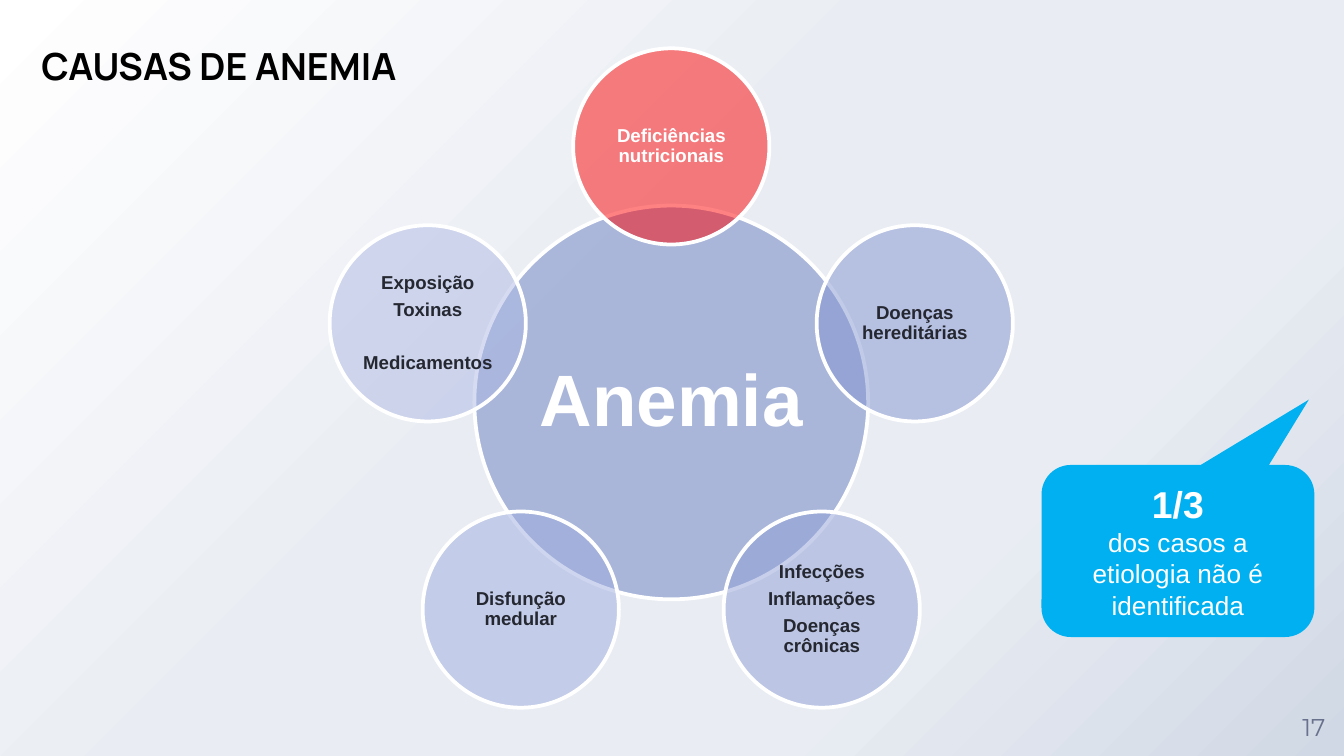
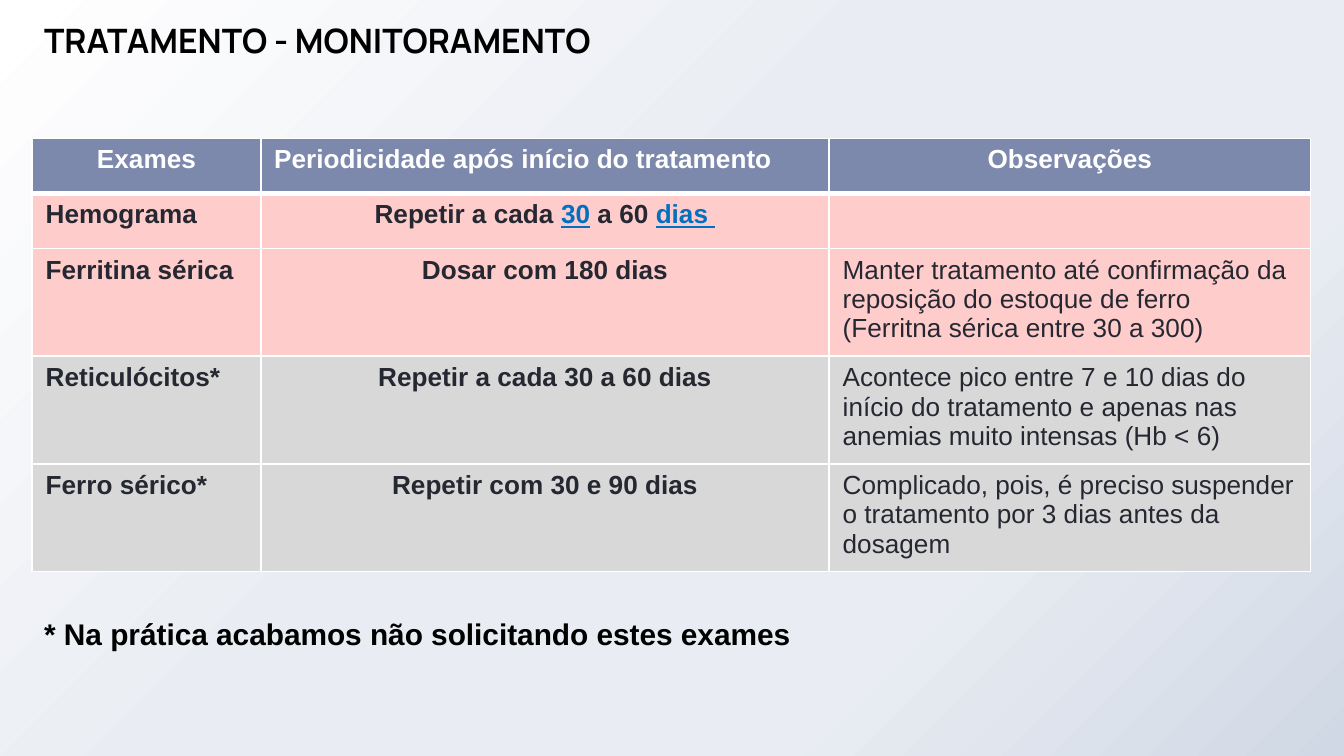
import math
from dataclasses import dataclass
from typing import Any

import pptx
import pptx.dml.color
import pptx.enum.shapes
import pptx.enum.text
import pptx.oxml
import pptx.oxml.ns
import pptx.util

ALIGN = pptx.enum.text.PP_ALIGN
ANCHOR = pptx.enum.text.MSO_ANCHOR
SHAPE = pptx.enum.shapes.MSO_SHAPE

SLIDE_WIDTH = pptx.util.Inches(10)
SLIDE_HEIGHT = pptx.util.Inches(5.625)
GRID_UNIT = SLIDE_WIDTH / 100  # square grid cells, 100 columns across the slide


@dataclass(frozen=True)
class Theme:
    body_font: str = "Arial"
    title_font: str = "Manrope"
    number_font: str = "Montserrat"
    white: str = "FFFFFF"
    black: str = "000000"
    ink: str = "252831"
    muted: str = "68728D"
    link: str = "0070C0"
    hub: str = "677EC1"
    callout: str = "00B0F0"
    header: str = "7D89AC"
    essential: str = "FFCCCC"
    optional: str = "D8D8D8"
    backdrop: tuple[tuple[int, str], ...] = (
        (0, "FFFFFF"), (44, "E9EDF3"), (72, "E9EDF3"), (100, "D0D8E5"))
    circle_opacity: int = 49
    hub_size: float = 39
    cause_size: float = 10
    fact_size: float = 20
    text_size: float = 14
    note_size: float = 16
    number_size: float = 13


THEME = Theme()


@dataclass(frozen=True)
class Area:
    """A rectangle in grid units."""
    left: float
    top: float
    width: float
    height: float

    def lengths(self) -> tuple[int, ...]:
        return tuple(grid(n) for n in (self.left, self.top, self.width, self.height))


@dataclass(frozen=True)
class Span:
    text: str
    size: float = THEME.text_size
    color: str = THEME.ink
    bold: bool = True
    underline: bool = False
    font: str = THEME.body_font


@dataclass(frozen=True)
class Para:
    spans: tuple[Span, ...]
    align: Any = ALIGN.LEFT
    line_spacing: float | None = None
    before: float = 0


@dataclass(frozen=True)
class Cause:
    """One outer circle; gaps are the points before each line."""
    lines: tuple[str, ...]
    fill: str
    color: str = THEME.ink
    gaps: tuple[float, ...] = (0, 3.5, 3.5)


@dataclass(frozen=True)
class Exam:
    name: str
    period: tuple[Span, ...]
    remark: str
    fill: str


CAUSES = (
    Cause(("Deficiências nutricionais",), "FF0000", THEME.white),
    Cause(("Doenças hereditárias",), "8193D0"),
    Cause(("Infecções", "Inflamações", "Doenças crônicas"), "8F9FD6"),
    Cause(("Disfunção medular",), "9DAADD"),
    Cause(("Exposição", "Toxinas", "Medicamentos"), "ACB7E3", gaps=(0, 3.5, 17.4)),
)

HEADINGS = (
    ("Exames", ALIGN.CENTER),
    ("Periodicidade após início do tratamento", ALIGN.LEFT),
    ("Observações", ALIGN.CENTER),
)

EXAMS = (
    Exam("Hemograma",
         (Span("Repetir a cada "), Span("30", color=THEME.link, underline=True),
          Span(" a 60 "), Span("dias ", color=THEME.link, underline=True)),
         "", THEME.essential),
    Exam("Ferritina sérica", (Span("Dosar com 180 dias"),),
         "Manter tratamento até confirmação da reposição do estoque de ferro "
         "(Ferritna sérica entre 30 a 300)", THEME.essential),
    Exam("Reticulócitos*", (Span("Repetir a cada 30 a 60 dias"),),
         "Acontece pico entre 7 e 10 dias do início do tratamento e apenas nas "
         "anemias muito intensas (Hb < 6)", THEME.optional),
    Exam("Ferro sérico*", (Span("Repetir com 30 e 90 dias"),),
         "Complicado, pois, é preciso suspender o tratamento por 3 dias antes da "
         "dosagem", THEME.optional),
)


def grid(units: float) -> int:
    return round(units * GRID_UNIT)


def rgb(color: str) -> Any:
    return pptx.dml.color.RGBColor.from_string(color)


def apply(target: Any, values: dict[str, Any]) -> None:
    for name, value in values.items():
        setattr(target, name, value)


def write(frame: Any, paras: list[Para]) -> None:
    for index, item in enumerate(paras):
        para = frame.paragraphs[0] if index == 0 else frame.add_paragraph()
        apply(para, {"alignment": item.align, "line_spacing": item.line_spacing,
                     "space_before": pptx.util.Pt(item.before)})
        for span in item.spans:
            run = para.add_run()
            run.text = span.text
            apply(run.font, {"name": span.font, "size": pptx.util.Pt(span.size),
                             "bold": span.bold, "underline": span.underline})
            run.font.color.rgb = rgb(span.color)


def fill_frame(frame: Any, paras: list[Para], anchor: Any, inset: tuple[float, float]) -> None:
    """Set wrapping, anchor and (side, top) insets, then write the text."""
    side, edge = map(grid, inset)
    apply(frame, {"word_wrap": True, "vertical_anchor": anchor,
                  "margin_left": side, "margin_right": side,
                  "margin_top": edge, "margin_bottom": edge})
    write(frame, paras)


def add_text(shapes: Any, area: Area, paras: list[Para], anchor: Any = ANCHOR.TOP,
             inset: tuple[float, float] = (1, 0.5)) -> Any:
    box = shapes.add_textbox(*area.lengths())
    fill_frame(box.text_frame, paras, anchor, inset)
    return box


def add_title(page: Any, area: Area, text: str, size: float) -> None:
    span = Span(text, size, THEME.black, font=THEME.title_font)
    add_text(page.shapes, area, [Para((span,))])


def add_page(deck: Any) -> Any:
    """Add a blank page with the shared gradient spreading from the top left."""
    page = deck.slides.add_slide(deck.slide_layouts[6])
    stops = "".join(f'<a:gs pos="{at * 1000}"><a:srgbClr val="{color}"/></a:gs>'
                    for at, color in THEME.backdrop)
    backdrop = pptx.oxml.parse_xml(
        f'<p:bg {pptx.oxml.ns.nsdecls("p", "a")}><p:bgPr><a:gradFill><a:gsLst>{stops}</a:gsLst>'
        '<a:path path="circle"><a:fillToRect r="100000" b="100000"/></a:path>'
        '</a:gradFill><a:effectLst/></p:bgPr></p:bg>')
    page.element.cSld.insert(0, backdrop)
    return page


def add_circle(shapes: Any, center: tuple[float, float], diameter: float, fill: str,
               paras: list[Para], inset: float) -> None:
    """Draw a translucent circle with text in its inscribed square."""
    def square(side: float) -> Area:
        return Area(center[0] - side / 2, center[1] - side / 2, side, side)

    circle = shapes.add_shape(SHAPE.OVAL, *square(diameter).lengths())
    circle.shadow.inherit = False
    circle.fill.solid()
    circle.fill.fore_color.rgb = rgb(fill)
    color = circle.fill._xPr.find(".//" + pptx.oxml.ns.qn("a:srgbClr"))
    color.append(pptx.oxml.parse_xml(
        f'<a:alpha {pptx.oxml.ns.nsdecls("a")} val="{THEME.circle_opacity * 1000}"/>'))
    circle.line.color.rgb = rgb(THEME.white)
    circle.line.width = pptx.util.Pt(2)
    add_text(shapes, square(diameter / math.sqrt(2)), paras, ANCHOR.MIDDLE, (inset, inset))


def add_cause_wheel(page: Any) -> None:
    center_x, center_y, orbit = 49.95, 29.95, 19.05
    shapes = page.shapes.add_group_shape().shapes
    hub = Span("Anemia", THEME.hub_size, THEME.white)
    add_circle(shapes, (center_x, center_y), 29.3, THEME.hub,
               [Para((hub,), ALIGN.CENTER, 0.9)], 0.5)
    for index, cause in enumerate(CAUSES):
        angle = math.tau * index / len(CAUSES)
        center = (center_x + orbit * math.sin(angle), center_y - orbit * math.cos(angle))
        paras = [Para((Span(line, THEME.cause_size, cause.color),), ALIGN.CENTER, 0.9, gap)
                 for line, gap in zip(cause.lines, cause.gaps)]
        add_circle(shapes, center, 14.6, cause.fill, paras, 0.1)


def add_callout(page: Any) -> None:
    callout = page.shapes.add_shape(SHAPE.ROUNDED_RECTANGULAR_CALLOUT,
                                    *Area(77.5, 34.6, 20.3, 12.8).lengths())
    for index, value in enumerate((0.48, -0.88, 0.17)):
        callout.adjustments[index] = value
    callout.shadow.inherit = False
    callout.fill.solid()
    callout.fill.fore_color.rgb = rgb(THEME.callout)
    callout.line.fill.background()
    fact = Span("1/3", THEME.fact_size, THEME.white)
    detail = Span("dos casos a etiologia não é identificada", color=THEME.white, bold=False)
    fill_frame(callout.text_frame, [Para((span,), ALIGN.CENTER) for span in (fact, detail)],
               ANCHOR.MIDDLE, (1, 0.5))


def style_cell(cell: Any, fill: str, para: Para, bottom: int = 1, top: int = 1) -> None:
    """Write a cell with white borders, widths in points."""
    properties = cell._tc.get_or_add_tcPr()
    for side, width in {"L": 1, "R": 1, "T": top, "B": bottom}.items():
        properties.append(pptx.oxml.parse_xml(
            f'<a:ln{side} {pptx.oxml.ns.nsdecls("a")} w="{pptx.util.Pt(width)}"><a:solidFill>'
            f'<a:srgbClr val="{THEME.white}"/></a:solidFill></a:ln{side}>'))
    cell.fill.solid()
    cell.fill.fore_color.rgb = rgb(fill)
    fill_frame(cell.text_frame, [para], ANCHOR.TOP, (1, 0.5))


def add_exam_table(page: Any) -> None:
    widths, row_height = (17, 42.3, 35.8), 4.1
    row_count = len(EXAMS) + 1
    area = Area(2.4, 10.3, sum(widths), row_height * row_count)
    table = page.shapes.add_table(row_count, len(widths), *area.lengths()).table
    table.horz_banding = False
    for column, width in zip(table.columns, widths):
        column.width = grid(width)
    for column, (heading, align) in enumerate(HEADINGS):
        style_cell(table.cell(0, column), THEME.header,
                   Para((Span(heading, color=THEME.white),), align), bottom=3)
    for row, exam in enumerate(EXAMS, start=1):
        remark = (Span(exam.remark, bold=False),) if exam.remark else ()
        paras = (Para((Span(exam.name),)), Para(exam.period, ALIGN.CENTER), Para(remark))
        for column, para in enumerate(paras):
            style_cell(table.cell(row, column), exam.fill, para, top=3 if row == 1 else 1)


def build_causes(deck: Any) -> None:
    page = add_page(deck)
    number = Span("17", THEME.number_size, THEME.muted, False, font=THEME.number_font)
    add_text(page.shapes, Area(95.5, 51.8, 4.5, 4.5), [Para((number,), ALIGN.CENTER)],
             ANCHOR.MIDDLE, (0, 0))
    add_cause_wheel(page)
    add_callout(page)
    add_title(page, Area(2.1, 2.7, 39.2, 6.1), "CAUSAS DE ANEMIA", 20)


def build_monitoring(deck: Any) -> None:
    page = add_page(deck)
    add_title(page, Area(2.3, 1, 60.6, 6.4), "TRATAMENTO - MONITORAMENTO", 18)
    add_exam_table(page)
    note = Span("* Na prática acabamos não solicitando estes exames",
                THEME.note_size, THEME.black)
    box = add_text(page.shapes, Area(2.3, 45.3, 95.2, 3.7), [Para((note,))])
    box.text_frame.auto_size = pptx.enum.text.MSO_AUTO_SIZE.SHAPE_TO_FIT_TEXT


def main() -> None:
    deck = pptx.Presentation()
    apply(deck, {"slide_width": SLIDE_WIDTH, "slide_height": SLIDE_HEIGHT})
    build_causes(deck)
    build_monitoring(deck)
    deck.save("out.pptx")


if __name__ == "__main__":
    main()
